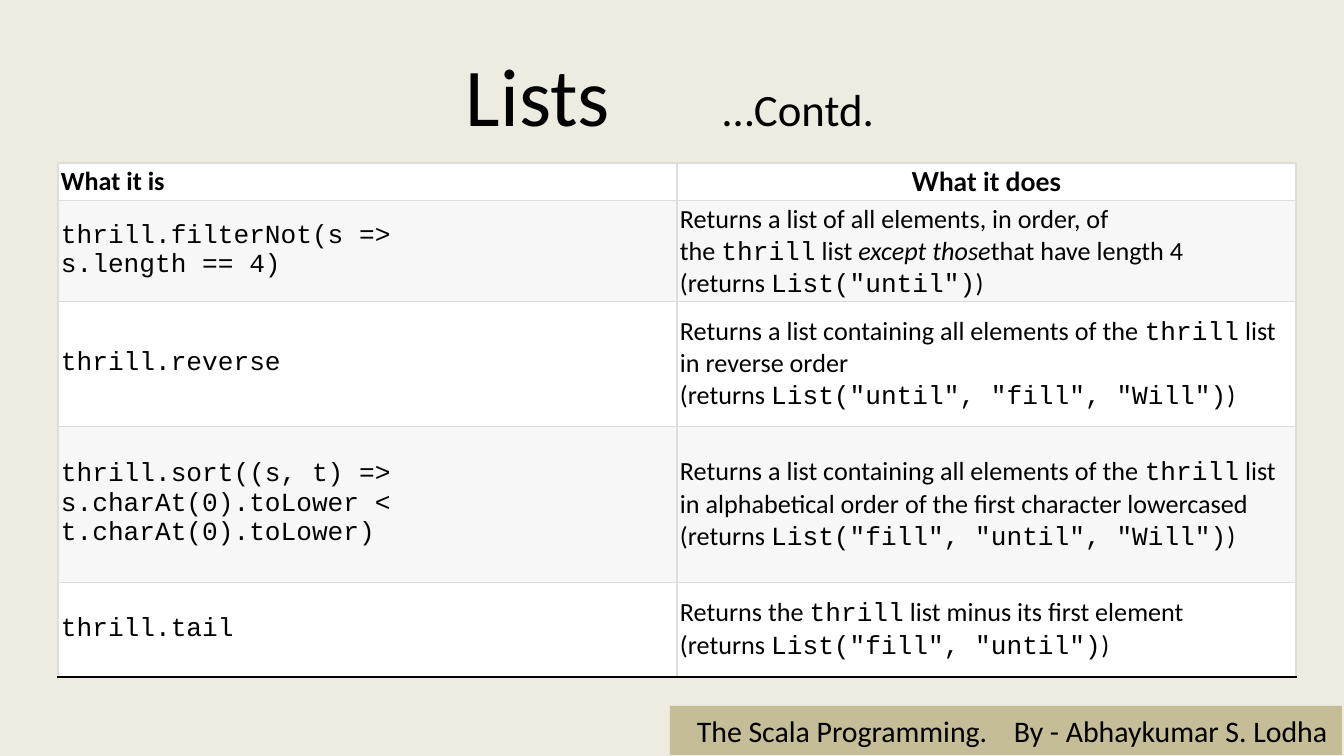
from dataclasses import dataclass
from lxml import etree
from pptx import Presentation
from pptx import util as u
from pptx.dml.color import RGBColor
from pptx.enum import shapes, text
from pptx.oxml import ns

PX = 914400 / 134.4


@dataclass(frozen=True)
class Theme:
    background: str = "EEECE1"
    footer: str = "C4BD97"
    ink: str = "000000"
    border: str = "DDDDDD"
    bands: tuple = ("FFFFFF", "F7F7F7")
    body: str = "Calibri"
    code: str = "Courier New"
    heading: str = "Lato"
    title_size: int = 44
    contd_size: int = 24
    footer_size: int = 16
    table_size: int = 14


THEME = Theme()
HEADERS = [
    ("What it is", THEME.body, text.PP_ALIGN.LEFT),
    ("What it does", THEME.heading, text.PP_ALIGN.CENTER),
]
METHODS = [
    ("`thrill.filterNot(s\u00a0=>\ns.length\u00a0==\u00a04)`",
     "Returns a list of all elements, in order, of the\u00a0`thrill`\u00a0list\u00a0"
     "*except those*that have length 4 (returns\u00a0`List(\"until\")`)"),
    ("`thrill.reverse`",
     "Returns a list containing all elements of the\u00a0`thrill`\u00a0list in reverse order "
     "(returns\u00a0`List(\"until\",\u00a0\"fill\",\u00a0\"Will\")`)"),
    ("`thrill.sort((s,\u00a0t)\u00a0=>\ns.charAt(0).toLower\u00a0<\nt.charAt(0).toLower)`",
     "Returns a list containing all elements of the\u00a0`thrill`\u00a0list in alphabetical order "
     "of the first character lowercased "
     "(returns\u00a0`List(\"fill\",\u00a0\"until\",\u00a0\"Will\")`)"),
    ("`thrill.tail`",
     "Returns the\u00a0`thrill`\u00a0list minus its first element "
     "(returns\u00a0`List(\"fill\",\u00a0\"until\")`)"),
]
ROW_HEIGHTS = [36, 101, 125, 156, 95]


def px(n):
    return u.Emu(round(n * PX))


def rgb(value):
    return RGBColor.from_string(value)


def style(font, name, size, bold=False):
    font.name = name
    font.size = u.Pt(size)
    font.bold = bold
    font.color.rgb = rgb(THEME.ink)


def tabbed_line(sp, parts, size, inset, stop):
    tf = sp.text_frame
    tf.word_wrap = True
    tf.vertical_anchor = text.MSO_ANCHOR.MIDDLE
    tf.margin_left = px(inset)
    tf.margin_right = tf.margin_top = tf.margin_bottom = 0
    p = tf.paragraphs[0]
    p.alignment = text.PP_ALIGN.LEFT
    tabs = etree.SubElement(p._p.get_or_add_pPr(), ns.qn("a:tabLst"))
    etree.SubElement(tabs, ns.qn("a:tab"), pos=str(px(stop)), algn="l")
    style(p.font, THEME.body, size)
    for part in parts:
        p.add_run().text = part
    return p


def add_title(s, x, y, w, h):
    sp = s.shapes.add_textbox(px(x), px(y), px(w), px(h))
    p = tabbed_line(sp, ["Lists\t", "…Contd."], THEME.title_size, 399, 257)
    p.runs[1].font.size = u.Pt(THEME.contd_size)


def add_footer(s, x, y, w, h):
    sp = s.shapes.add_shape(shapes.MSO_SHAPE.RECTANGLE, px(x), px(y), px(w), px(h))
    sp.shadow.inherit = False
    sp.fill.solid()
    sp.fill.fore_color.rgb = rgb(THEME.footer)
    sp.line.fill.background()
    tabbed_line(sp, ["The Scala Programming.\tBy - Abhaykumar S. Lodha"],
                THEME.footer_size, 27, 317)


def add_border(tc_pr, position, side, color, points):
    ln = etree.Element(ns.qn("a:ln" + side), w=str(u.Pt(points)))
    fill = etree.SubElement(ln, ns.qn("a:solidFill"))
    etree.SubElement(fill, ns.qn("a:srgbClr"), val=color)
    tc_pr.insert(position, ln)


def format_cell(cell, band, last):
    cell.margin_left = cell.margin_right = px(3)
    cell.margin_top = cell.margin_bottom = px(3)
    cell.vertical_anchor = text.MSO_ANCHOR.MIDDLE
    cell.fill.solid()
    cell.fill.fore_color.rgb = rgb(band)
    for position, side in enumerate("LRTB"):
        closing = last and side == "B"
        add_border(cell._tc.get_or_add_tcPr(), position, side,
                   THEME.ink if closing else THEME.border, 1 if closing else 0.75)


def add_marked_text(p, marked):
    style(p.font, THEME.body, THEME.table_size)
    for i, part in enumerate(marked.split("`")):
        for j, piece in enumerate(part.split("*")):
            for k, line in enumerate(piece.split("\n")):
                if k:
                    p.add_line_break()
                if line:
                    r = p.add_run()
                    r.text = line
                    style(r.font, THEME.code if i % 2 else THEME.body, THEME.table_size)
                    r.font.italic = j % 2 == 1


def add_methods_table(s, x, y, w):
    frame = s.shapes.add_table(len(ROW_HEIGHTS), len(HEADERS), px(x), px(y),
                               px(w), px(sum(ROW_HEIGHTS)))
    table = frame.table
    table.first_row = table.horz_banding = False
    for column in table.columns:
        column.width = px(w / len(HEADERS))
    for i, height in enumerate(ROW_HEIGHTS):
        table.rows[i].height = px(height)
        for j, (label, name, align) in enumerate(HEADERS):
            cell = table.cell(i, j)
            format_cell(cell, THEME.bands[i % 2], i == len(METHODS))
            p = cell.text_frame.paragraphs[0]
            if i:
                add_marked_text(p, METHODS[i - 1][j])
            else:
                p.alignment = align
                style(p.font, name, THEME.table_size, bold=True)
                p.add_run().text = label


def main():
    prs = Presentation()
    prs.slide_width, prs.slide_height = px(1344), px(756)
    s = prs.slides.add_slide(prs.slide_layouts[6])
    s.background.fill.solid()
    s.background.fill.fore_color.rgb = rgb(THEME.background)
    add_footer(s, 670, 706, 672, 49)
    add_title(s, 67, 31, 1210, 126)
    add_methods_table(s, 58, 163, 1238)
    prs.save("out.pptx")


main()
